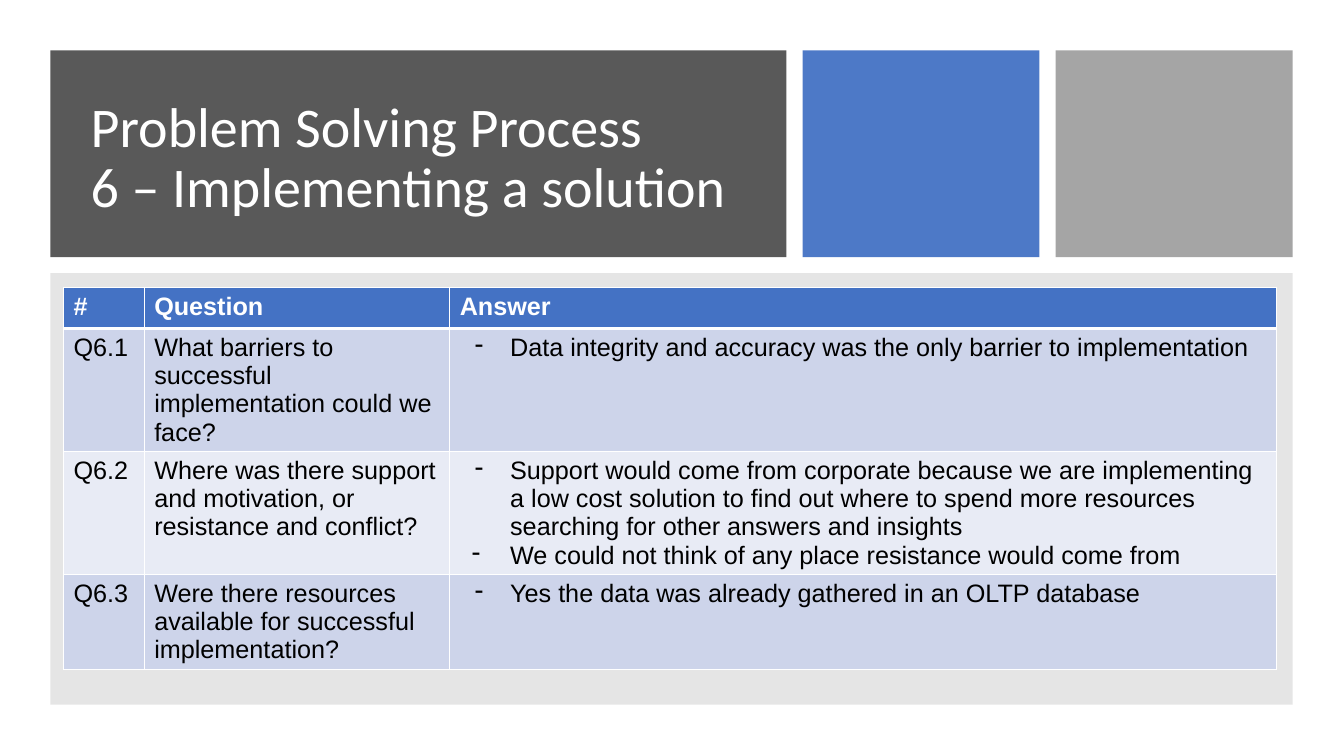
import lxml.etree
import pptx
import pptx.dml.color
import pptx.enum.shapes
import pptx.enum.text
import pptx.oxml.ns
import pptx.util

SLIDE_WIDTH, SLIDE_HEIGHT = 13.33, 7.5
MARGIN, GAP = 0.5, 0.16
BANNER_HEIGHT, PANEL_HEIGHT = 2.05, 4.28
BANNER_BLOCKS = [(7.3, "595959", 100), (2.35, "4472C4", 95), (2.35, "A5A5A5", 100)]
TITLE_LINES = ["Problem Solving Process", "6 – Implementing a solution"]
COLUMN_WIDTHS = [0.8, 3.03, 8.2]
ROW_HEIGHTS = [0.41, 1.22, 1.22, 0.94]
HEADINGS = ["#", "Question", "Answer"]
QUESTIONS = [
    ("Q6.1", "What barriers to successful implementation could we face?",
     [("Data integrity and accuracy was the only barrier to implementation", 0.35)]),
    ("Q6.2", "Where was there support and motivation, or resistance and conflict?",
     [("Support would come from corporate because we are implementing a low cost solution "
       "to find out where to spend more resources searching for other answers and insights", 0.35),
      ("We could not think of any place resistance would come from", 0.38)]),
    ("Q6.3", "Were there resources available for successful implementation?",
     [("Yes the data was already gathered in an OLTP database", 0.35)]),
]


def paint(target, color):
    """Give a fill or a font the hex colour."""
    if hasattr(target, "solid"):
        target.solid()
        target = target.fore_color
    else:
        target = target.color
    target.rgb = pptx.dml.color.RGBColor.from_string(color)


def add_child(parent, tag, **attributes):
    """Append a drawing element with attributes and return it."""
    child = lxml.etree.SubElement(parent, pptx.oxml.ns.qn(tag))
    for name, setting in attributes.items():
        child.set(name, str(setting))
    return child


def add_block(slide, left, top, width, height, color, opacity=100):
    """Add a borderless rectangle with the given opacity in percent."""
    block = slide.shapes.add_shape(
        pptx.enum.shapes.MSO_SHAPE.RECTANGLE,
        *map(pptx.util.Inches, (left, top, width, height)))
    block.shadow.inherit = False
    block.line.fill.background()
    paint(block.fill, color)
    if opacity < 100:
        fill_color = block._element.spPr.find(".//" + pptx.oxml.ns.qn("a:srgbClr"))
        add_child(fill_color, "a:alpha", val=opacity * 1000)


def add_text(paragraph, text, size, color, font, bold=False):
    """Add one formatted run to a paragraph."""
    run = paragraph.add_run()
    run.text = text
    run.font.size = pptx.util.Pt(size)
    run.font.name = font
    run.font.bold = bold
    paint(run.font, color)


def set_title(slide):
    """Place the title placeholder over the banner and fill in its lines."""
    title = slide.shapes.title
    slide.shapes._spTree.append(title._element)
    title.left, title.top, title.width, title.height = map(
        pptx.util.Inches, (0.8, 0.8, 7, 1.56))
    frame = title.text_frame
    frame.word_wrap = True
    frame.auto_size = pptx.enum.text.MSO_AUTO_SIZE.NONE
    frame.vertical_anchor = pptx.enum.text.MSO_ANCHOR.MIDDLE
    heading = frame.paragraphs[0]
    heading.alignment = pptx.enum.text.PP_ALIGN.LEFT
    heading.line_spacing = 0.9
    for number, line in enumerate(TITLE_LINES):
        if number:
            heading.add_line_break()
        add_text(heading, line, 40, "FFFFFF", "Calibri")


def add_dash(paragraph, hanging):
    """Turn a paragraph into a dash item with a hanging indent in inches."""
    properties = paragraph._p.get_or_add_pPr()
    properties.set("marL", str(pptx.util.Inches(0.5)))
    properties.set("indent", str(-pptx.util.Inches(hanging)))
    add_child(add_child(properties, "a:buClr"), "a:srgbClr", val="000000")
    add_child(properties, "a:buChar", char="-")


def style_cell(cell, row):
    """Set the white borders and the banded fill of a cell."""
    properties = cell._tc.get_or_add_tcPr()
    thick_side = {0: "B", 1: "T"}.get(row)
    for side in "LRTB":
        points = 3 if side == thick_side else 1
        border = add_child(properties, f"a:ln{side}", w=pptx.util.Pt(points))
        add_child(add_child(border, "a:solidFill"), "a:srgbClr", val="FFFFFF")
    paint(cell.fill, "4472C4" if row == 0 else ("E8EBF5", "CDD4EA")[row % 2])


def add_question_table(slide, left, top):
    """Add the table of questions and their dashed answers."""
    table = slide.shapes.add_table(
        len(ROW_HEIGHTS), len(COLUMN_WIDTHS),
        *map(pptx.util.Inches, (left, top, sum(COLUMN_WIDTHS), sum(ROW_HEIGHTS)))).table
    for column, width in zip(table.columns, COLUMN_WIDTHS):
        column.width = pptx.util.Inches(width)
    for table_row, height in zip(table.rows, ROW_HEIGHTS):
        table_row.height = pptx.util.Inches(height)
    for row, entries in enumerate([HEADINGS, *QUESTIONS]):
        for column, entry in enumerate(entries):
            cell = table.cell(row, column)
            style_cell(cell, row)
            items = [(entry, None)] if isinstance(entry, str) else entry
            for number, (text, hanging) in enumerate(items):
                frame = cell.text_frame
                paragraph = frame.add_paragraph() if number else frame.paragraphs[0]
                if hanging:
                    add_dash(paragraph, hanging)
                add_text(paragraph, text, 18, "000000" if row else "FFFFFF", "Arial", row == 0)


def main():
    """Build the slide and save it."""
    deck = pptx.Presentation()
    deck.slide_width = pptx.util.Inches(SLIDE_WIDTH)
    deck.slide_height = pptx.util.Inches(SLIDE_HEIGHT)
    slide = deck.slides.add_slide(deck.slide_layouts[5])
    left = MARGIN
    for width, color, opacity in BANNER_BLOCKS:
        add_block(slide, left, MARGIN, width, BANNER_HEIGHT, color, opacity)
        left += width + GAP
    panel_top = MARGIN + BANNER_HEIGHT + GAP
    add_block(slide, MARGIN, panel_top, left - GAP - MARGIN, PANEL_HEIGHT, "7F7F7F", 20)
    set_title(slide)
    add_question_table(slide, MARGIN + 0.13, panel_top + 0.14)
    deck.save("out.pptx")


if __name__ == "__main__":
    main()
